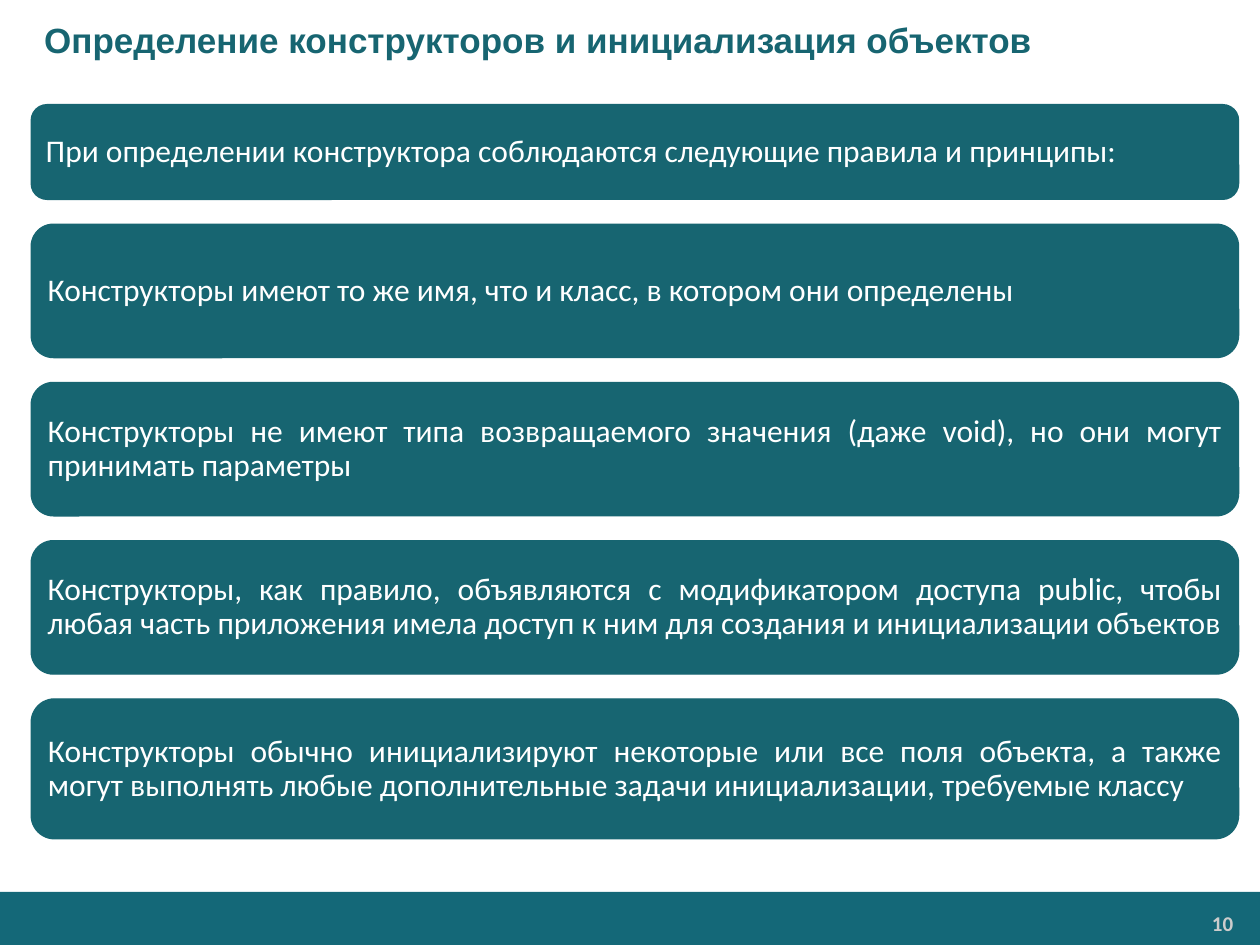
from pptx import Presentation
from pptx import util as u
from pptx.dml.color import RGBColor
from pptx.enum import shapes, text

Cm, Pt = u.Cm, u.Pt
TEAL = "176571"


def paint(color, value):
    color.rgb = RGBColor.from_string(value)


def write(shape, words, align, hue, sides, **font):
    """Put one formatted paragraph in a shape; sides are left, top, right, bottom in cm."""
    frame = shape.text_frame
    frame.word_wrap = True
    frame.auto_size = text.MSO_AUTO_SIZE.NONE
    frame.vertical_anchor = text.MSO_ANCHOR.MIDDLE
    for side, gap in zip(("left", "top", "right", "bottom"), sides):
        setattr(frame, "margin_" + side, Cm(gap))
    line = frame.paragraphs[0]
    line.alignment = align
    run = line.add_run()
    run.text = words
    for key, value in font.items():
        setattr(run.font, key, value)
    paint(run.font.color, hue)
    return line


deck = Presentation()
deck.slide_width, deck.slide_height = Cm(25.4), Cm(19.05)
slide = deck.slides.add_slide(deck.slide_layouts[5])
align = text.PP_ALIGN

# Footer band
band = slide.shapes.add_shape(
    shapes.MSO_SHAPE.RECTANGLE, 0, Cm(17.98), Cm(25.4), Cm(1.07))
band.shadow.inherit = False
band.fill.solid()
paint(band.fill.fore_color, "146878")
band.line.fill.background()

# Page number
page = slide.shapes.add_textbox(Cm(20.9), Cm(18.26), Cm(4.14), Cm(0.71))
write(page, "10", align.RIGHT, "CCCCCC", (0.18, 0.1, 0.18, 0.1),
      name="Calibri", size=Pt(12), bold=True)

# Title
title = slide.shapes.title
title.left, title.top, title.width, title.height = 0, 0, Cm(25.4), Cm(1.6)
write(title, "Определение конструкторов и инициализация объектов",
      align.LEFT, TEAL, (0.89, 0.13, 0.25, 0.13),
      name="Arial", size=Pt(20), bold=True)

# Stack of rules: height in cm, wording
rules = [
    (1.91, "При определении конструктора соблюдаются следующие правила и принципы:"),
    (2.69, "Конструкторы имеют то же имя, что и класс, в котором они определены"),
    (2.69, "Конструкторы не имеют типа возвращаемого значения (даже void), "
           "но они могут принимать параметры"),
    (2.69, "Конструкторы, как правило, объявляются с модификатором доступа public, "
           "чтобы любая часть приложения имела доступ к ним для создания "
           "и инициализации объектов"),
    (2.82, "Конструкторы обычно инициализируют некоторые или все поля объекта, "
           "а также могут выполнять любые дополнительные задачи инициализации, "
           "требуемые классу"),
]
top, gap = 2.11, 0.5
for high, words in rules:
    box = slide.shapes.add_shape(
        shapes.MSO_SHAPE.ROUNDED_RECTANGLE, Cm(0.63), Cm(top), Cm(24.34), Cm(high))
    box.shadow.inherit = False
    box.fill.solid()
    paint(box.fill.fore_color, TEAL)
    paint(box.line.color, TEAL)
    box.line.width = Pt(0.75)
    line = write(box, words, align.JUSTIFY, "FFFFFF", (0.2,) * 4,
                 name="Calibri", size=Pt(18))
    line.line_spacing = 0.9
    top += high + gap

deck.save("out.pptx")
